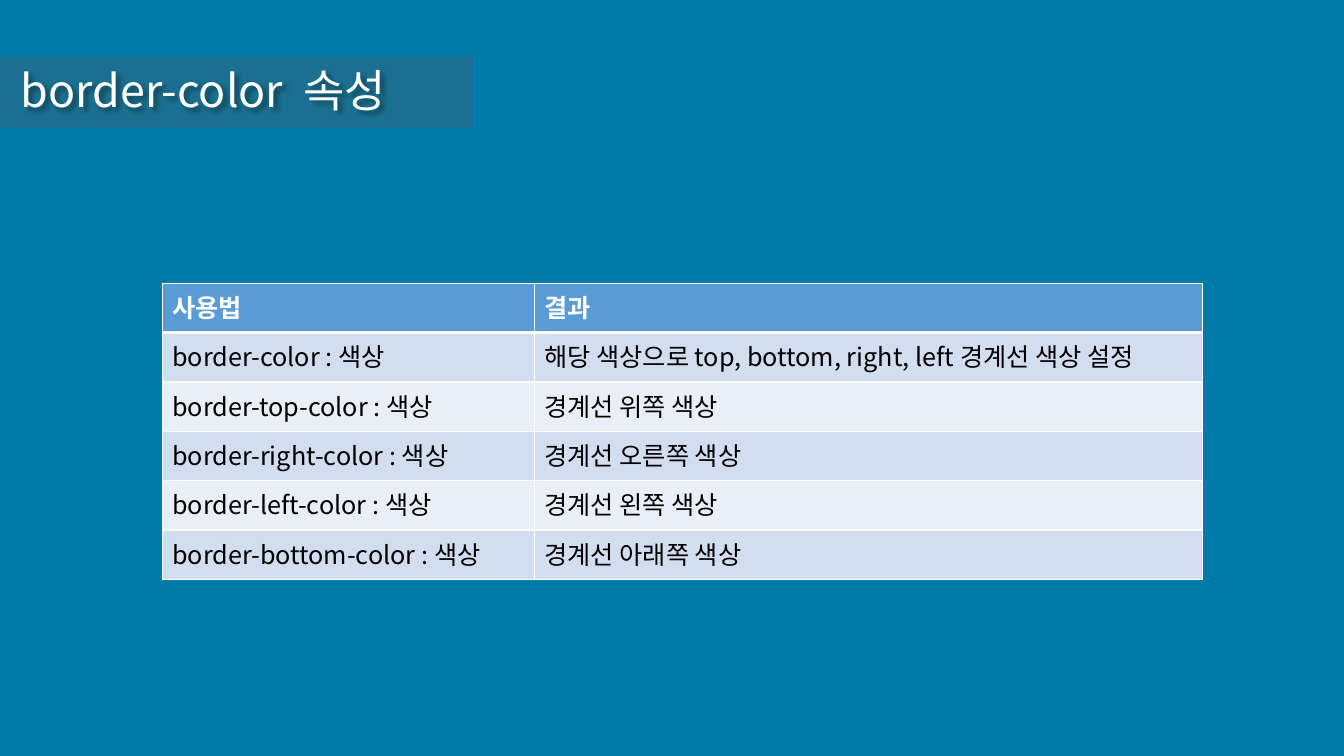
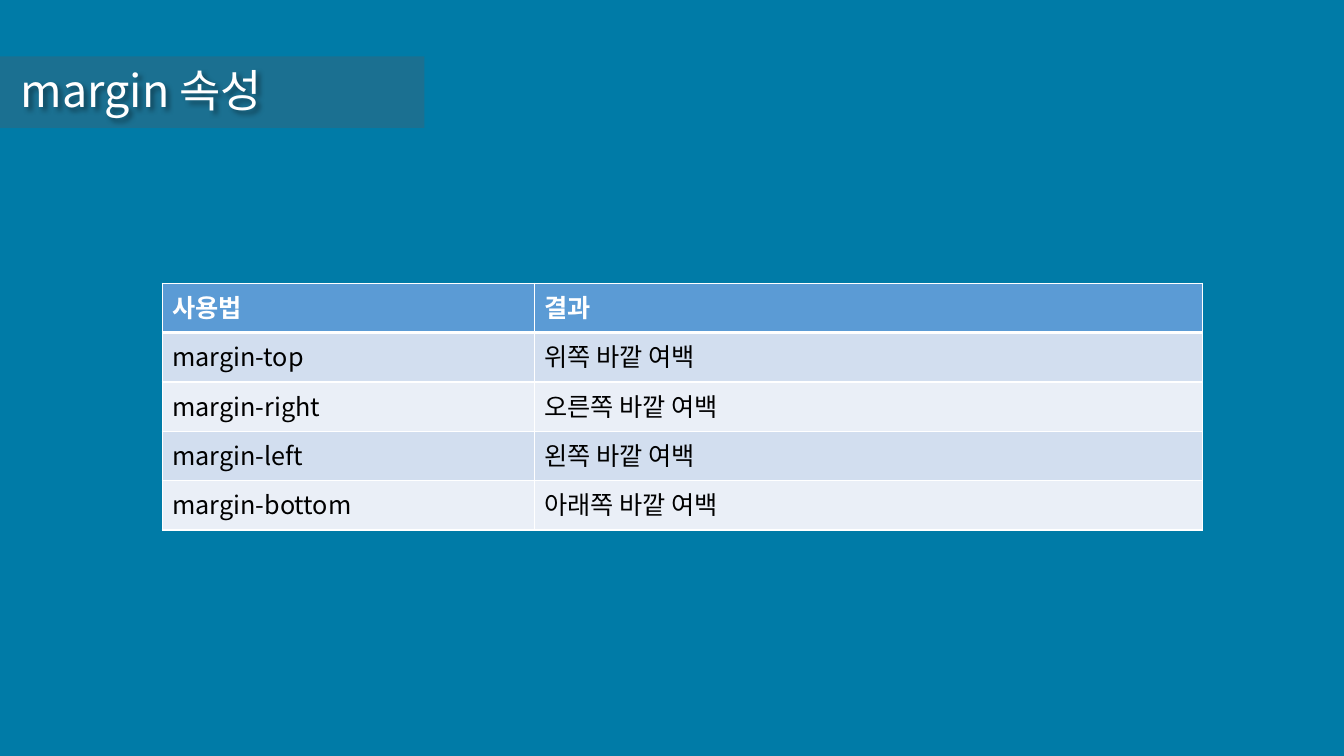
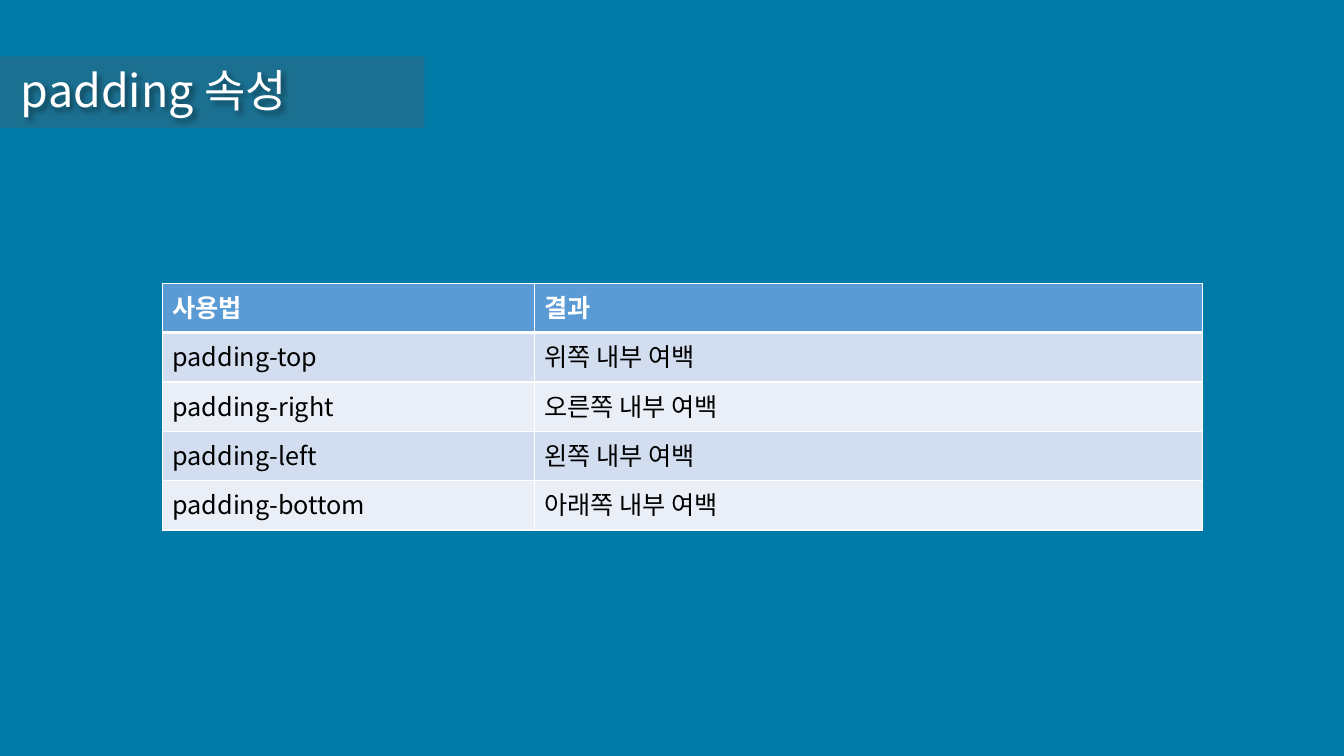
from lxml import etree
from pptx import Presentation
from pptx.dml.color import RGBColor
from pptx.enum.shapes import MSO_SHAPE
from pptx.oxml import parse_xml
from pptx.oxml.ns import nsdecls, qn
from pptx.util import Inches, Pt

RECT = MSO_SHAPE.RECTANGLE
FONT = "Noto Sans CJK KR"
COLORS = {
    "background": "007BA7", "band": "615758", "white": "FFFFFF", "black": "000000",
    "header": "5B9BD5", "odd_row": "D2DEEF", "even_row": "EAEFF7",
}
BAND_OPACITY = 28
COLUMN_WIDTHS = (3.69, 6.63)
ROW_HEIGHT = 0.49
HEADER = ("사용법", "결과")

# Content: title, widths of band and title box, table rows
SLIDES = [
    ("border-color  속성", 4.69, 5.15, [
        ("border-color : 색상", "해당 색상으로 top, bottom, right, left 경계선 색상 설정"),
        ("border-top-color : 색상", "경계선 위쪽 색상"),
        ("border-right-color : 색상", "경계선 오른쪽 색상"),
        ("border-left-color : 색상", "경계선 왼쪽 색상"),
        ("border-bottom-color : 색상", "경계선 아래쪽 색상"),
    ]),
    ("margin 속성", 4.21, 3.96, [
        ("margin-top", "위쪽 바깥 여백"),
        ("margin-right", "오른쪽 바깥 여백"),
        ("margin-left", "왼쪽 바깥 여백"),
        ("margin-bottom", "아래쪽 바깥 여백"),
    ]),
    ("padding 속성", 4.21, 4.71, [
        ("padding-top", "위쪽 내부 여백"),
        ("padding-right", "오른쪽 내부 여백"),
        ("padding-left", "왼쪽 내부 여백"),
        ("padding-bottom", "아래쪽 내부 여백"),
    ]),
]


def rgb(name):
    return RGBColor.from_string(COLORS[name])


def set_text(tf, text, size, color, bold=False):
    tf.text = text
    r = tf.paragraphs[0].runs[0]
    r.font.name, r.font.size, r.font.bold = FONT, Pt(size), bold
    r.font.color.rgb = rgb(color)
    latin = r.font._element.find(qn("a:latin"))
    latin.addnext(parse_xml(f'<a:ea {nsdecls("a")} typeface="{FONT}"/>'))


def add_title(s, title, band_width, title_width):
    # Translucent band from the left edge
    band = s.shapes.add_shape(RECT, 0, Inches(0.56), Inches(band_width), Inches(0.71))
    band.shadow.inherit = False
    band.fill.solid()
    band.fill.fore_color.rgb = rgb("band")
    band.line.fill.background()
    color = band._element.spPr.find(qn("a:solidFill"))[0]
    etree.SubElement(color, qn("a:alpha"), val=str(BAND_OPACITY * 1000))

    # Title with a soft shadow
    box = s.shapes.add_textbox(Inches(0.11), Inches(0.57), Inches(title_width), Inches(0.64))
    box.text_frame.word_wrap = True
    set_text(box.text_frame, title, 32, "white")
    box._element.spPr.append(parse_xml(
        f'<a:effectLst {nsdecls("a")}>'
        '<a:outerShdw blurRad="50800" dist="38100" dir="2700000" algn="tl" rotWithShape="0">'
        '<a:srgbClr val="000000"><a:alpha val="40000"/></a:srgbClr>'
        '</a:outerShdw></a:effectLst>'))


def set_borders(cell, top, bottom):
    tcPr = cell._tc.get_or_add_tcPr()
    for side, width in (("L", 1), ("R", 1), ("T", top), ("B", bottom)):
        tcPr.append(parse_xml(
            f'<a:ln{side} {nsdecls("a")} w="{Pt(width)}"><a:solidFill>'
            f'<a:srgbClr val="{COLORS["white"]}"/></a:solidFill></a:ln{side}>'))


def add_property_table(s, body):
    rows = [HEADER] + body
    table = s.shapes.add_table(
        len(rows), len(HEADER), Inches(1.61), Inches(2.81),
        Inches(sum(COLUMN_WIDTHS)), Inches(ROW_HEIGHT * len(rows))).table
    for column, width in zip(table.columns, COLUMN_WIDTHS):
        column.width = Inches(width)
    for i, row in enumerate(rows):
        table.rows[i].height = Inches(ROW_HEIGHT)
        is_header = i == 0
        fill = "header" if is_header else "odd_row" if i % 2 else "even_row"
        for j, text in enumerate(row):
            cell = table.cell(i, j)
            set_borders(cell, 3 if i == 1 else 1, 3 if is_header else 1)
            cell.fill.solid()
            cell.fill.fore_color.rgb = rgb(fill)
            set_text(cell.text_frame, text, 18, "white" if is_header else "black", is_header)


def main():
    prs = Presentation()
    prs.slide_width, prs.slide_height = Inches(13.33), Inches(7.5)
    # Shared background
    background = prs.slide_master.background.fill
    background.solid()
    background.fore_color.rgb = rgb("background")
    for title, band_width, title_width, body in SLIDES:
        s = prs.slides.add_slide(prs.slide_layouts[6])
        add_title(s, title, band_width, title_width)
        add_property_table(s, body)
    prs.save("out.pptx")


if __name__ == "__main__":
    main()
